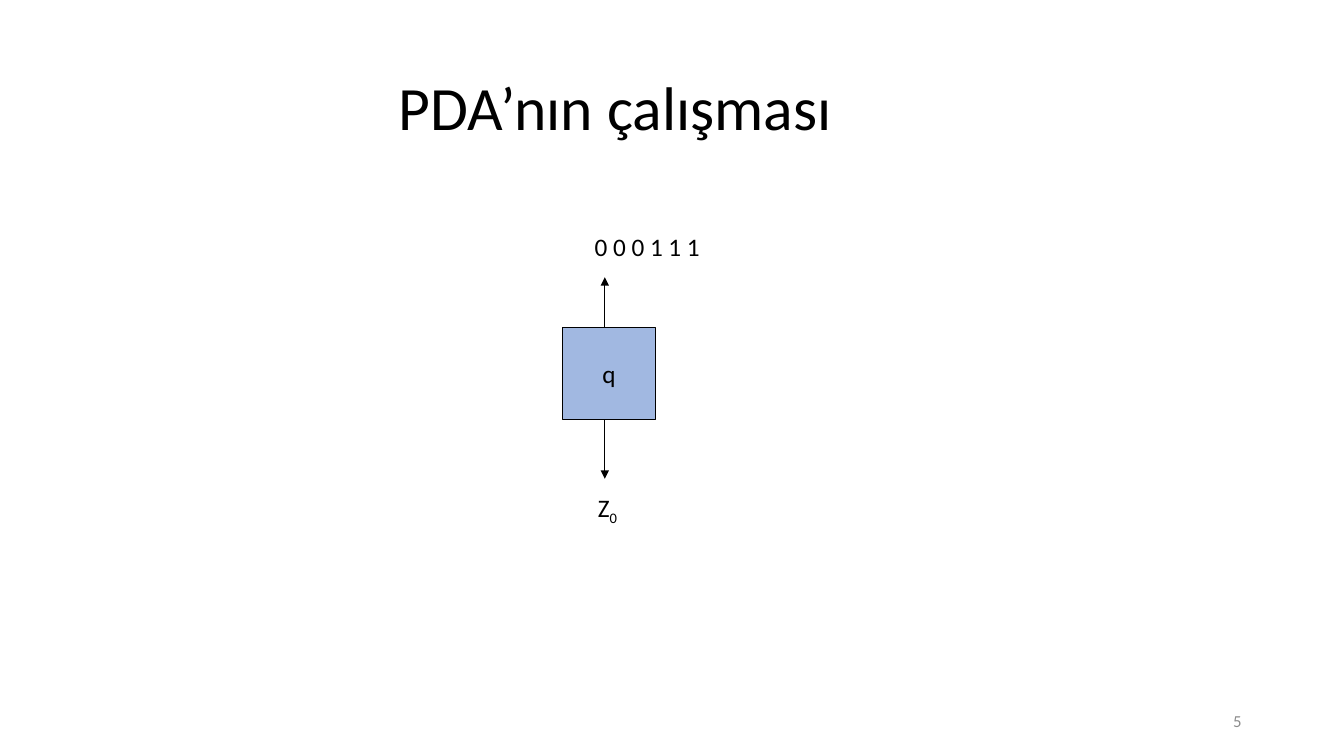
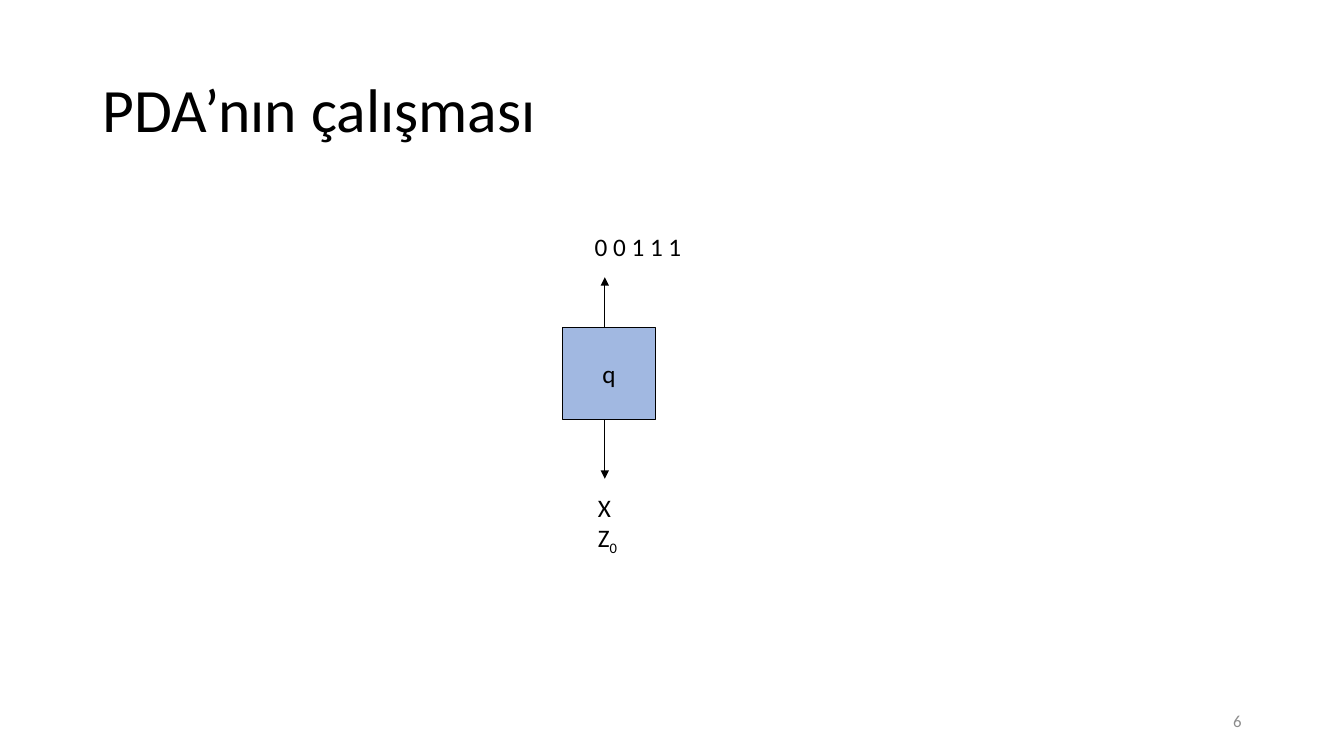
from lxml.etree import SubElement
from pptx import Presentation
from pptx.dml.color import RGBColor
from pptx.enum.shapes import MSO_CONNECTOR as Connector, MSO_SHAPE as Shape
from pptx.enum.text import MSO_ANCHOR as Anchor, PP_ALIGN as Align
from pptx.oxml.ns import qn
from pptx.util import Pt

EMU_PER_PX = 9525
BLACK = RGBColor(0x00, 0x00, 0x00)
GREY = RGBColor(0x8C, 0x8C, 0x8C)
BLUE = RGBColor(0x44, 0x72, 0xC4)
FONT = "Calibri"
TITLE = "PDA’nın çalışması"
BOTTOM_SYMBOL = ("Z", "0")
STEPS = [
    {"number": "5", "title_box": (370, 36, 458, 139),
     "tape": "0 0 0 1 1 1", "stack": [BOTTOM_SYMBOL]},
    {"number": "6", "title_box": (88, 38, 1104, 139),
     "tape": "0 0 1 1 1", "stack": [("X", ""), BOTTOM_SYMBOL]},
]


def px(*lengths):
    """Turn pixel lengths into EMU."""
    return [length * EMU_PER_PX for length in lengths]


def write(shape, lines, size=18, color=BLACK, align=Align.LEFT,
          anchor=Anchor.TOP, spacing=1.0):
    """Write lines, each a pair of base text and subscript, into a shape."""
    frame = shape.text_frame
    frame.word_wrap = True
    frame.vertical_anchor = anchor
    for index, line in enumerate(lines):
        paragraph = frame.add_paragraph() if index else frame.paragraphs[0]
        paragraph.alignment = align
        paragraph.line_spacing = spacing
        for part, baseline in zip(line, (None, "-25000")):
            if not part:
                continue
            run = paragraph.add_run()
            run.text = part
            run.font.name = FONT
            run.font.size = Pt(size)
            run.font.color.rgb = color
            if baseline:
                run._r.get_or_add_rPr().set("baseline", baseline)


def add_text(slide, box, lines, **style):
    """Add a text box at a pixel box."""
    write(slide.shapes.add_textbox(*px(*box)), lines, **style)


def add_arrow(slide, x, start, end):
    """Add a vertical arrow from start to end."""
    arrow = slide.shapes.add_connector(Connector.STRAIGHT, *px(x, start, x, end))
    arrow.line.color.rgb = BLACK
    arrow.line.width = Pt(0.75)
    SubElement(arrow.line._get_or_add_ln(), qn("a:tailEnd"), type="triangle")
    SubElement(arrow._element.spPr, qn("a:effectLst"))


def add_state(slide, left, top, side):
    """Add the half transparent square of the state q."""
    state = slide.shapes.add_shape(Shape.RECTANGLE, *px(left, top, side, side))
    state.shadow.inherit = False
    state.fill.solid()
    state.fill.fore_color.rgb = BLUE
    color = state._element.spPr.find(qn("a:solidFill"))[0]
    SubElement(color, qn("a:alpha"), val="50000")
    state.line.color.rgb = BLACK
    state.line.width = Pt(0.75)
    write(state, [("q",)], align=Align.CENTER, anchor=Anchor.MIDDLE)


def add_automaton(slide, left, top, tape, stack):
    """Add the tape, state and stack below each other from one corner."""
    side = 88
    state_top = top + 96
    state_bottom = state_top + side
    axis = left + 40
    add_state(slide, left, state_top, side)
    add_text(slide, (left + 21, top, 140, 38), [(tape,)])
    add_arrow(slide, axis, state_top, state_top - 48)
    add_arrow(slide, axis, state_bottom, state_bottom + 56)
    add_text(slide, (left + 24, state_bottom + 64, 40, 9 + 29 * len(stack)), stack)


def add_step(deck, number, title_box, tape, stack):
    """Add a slide that shows one step of the automaton."""
    slide = deck.slides.add_slide(deck.slide_layouts[6])
    add_text(slide, (904, 667, 288, 38), [(number,)], size=12, color=GREY,
             align=Align.RIGHT, anchor=Anchor.MIDDLE)
    add_text(slide, title_box, [(TITLE,)], size=44, anchor=Anchor.MIDDLE,
             spacing=0.9)
    add_automaton(slide, 536, 216, tape, stack)


def main():
    """Build and save the deck."""
    deck = Presentation()
    deck.slide_width, deck.slide_height = px(1280, 720)
    for step in STEPS:
        add_step(deck, **step)
    deck.save("out.pptx")


if __name__ == "__main__":
    main()
